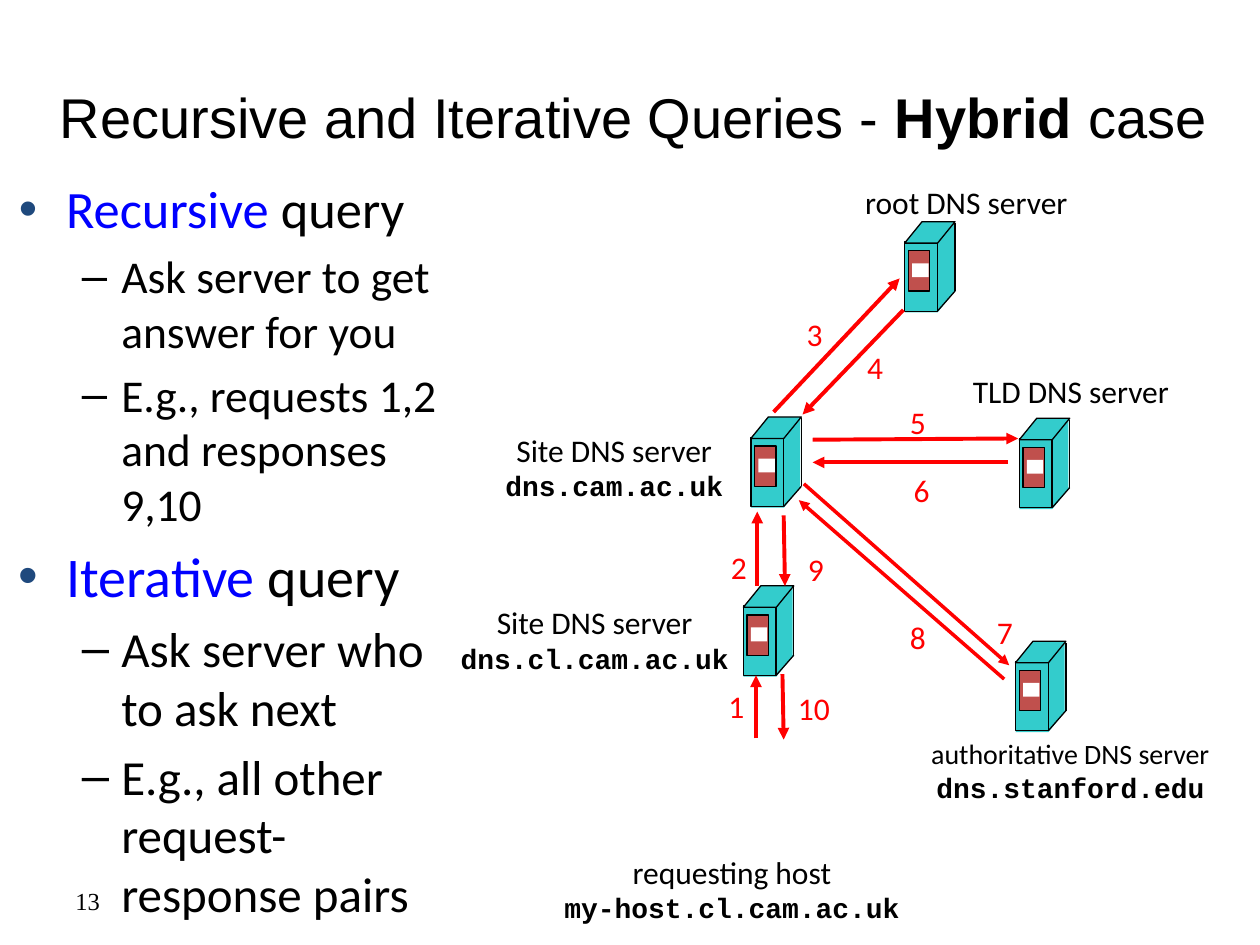
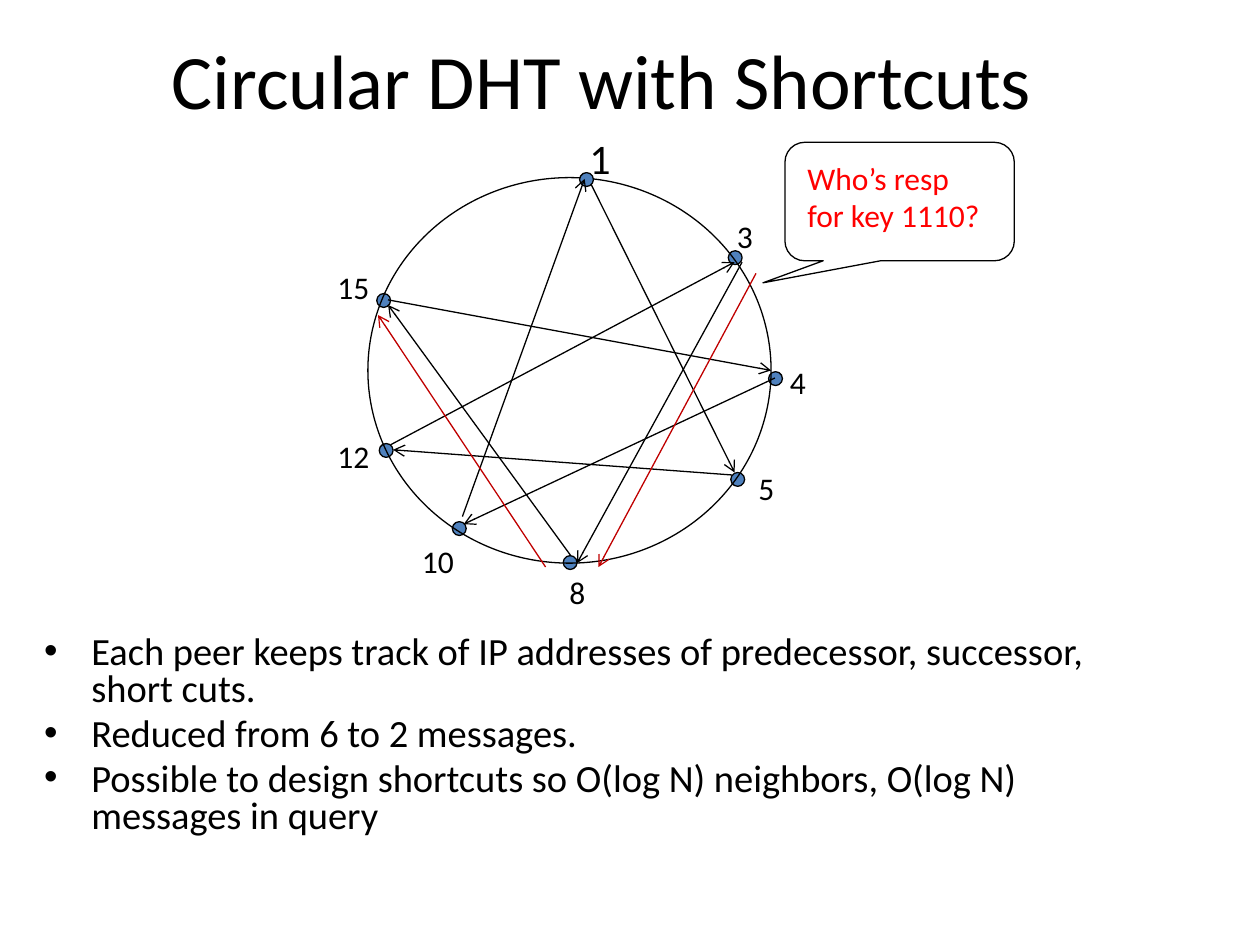
"""Build two slides on DNS query types and a circular DHT."""
import lxml.etree
import pptx
import pptx.dml.color
import pptx.enum.shapes
import pptx.enum.text
import pptx.oxml.ns
import pptx.util

PX = 9144
BLACK, WHITE, RED, DARK_RED, BLUE = "000000", "FFFFFF", "FF0000", "C00000", "0000FF"
TEAL, BRICK, NAVY, NODE = "33CCCC", "C0504D", "1F497D", "4F81BD"
SHAPE = pptx.enum.shapes.MSO_SHAPE
ALIGN = pptx.enum.text.PP_ALIGN
ANCHOR = pptx.enum.text.MSO_ANCHOR
FIT = pptx.enum.text.MSO_AUTO_SIZE
CENTER = {"alignment": ALIGN.CENTER}
PLAIN = {"name": "Calibri", "size": 18, "color": BLACK}
HOST = {"name": "Courier New", "size": 16, "bold": True}
QUERY = {"color": BLUE}

SERVERS = [(718, 176), (809, 332), (806, 509), (596, 331), (590, 465)]
SERVER_LABELS = [
    ((436, 672, 290, 67), "requesting host", "my-host.cl.cam.ac.uk", 18),
    ((657, 140, 220, 40), "root DNS server", None, 18),
    ((740, 290, 220, 40), "TLD DNS server", None, 18),
    ((727, 580, 245, 64), "authoritative DNS server", "dns.stanford.edu", 16),
    ((390, 337, 195, 67), "Site DNS server", "dns.cam.ac.uk", 18),
    ((354, 474, 236, 67), "Site DNS server", "dns.cl.cam.ac.uk", 18),
]
MESSAGES = [
    ("1", (600, 586, 600, 536), (568, 540), 2.25),
    ("2", (601, 465, 601, 406), (570, 430), 2.25),
    ("3", (614, 327, 714, 221), (630, 245), 2.25),
    ("4", (717, 246, 637, 329), (678, 271), 2.25),
    ("5", (645, 349, 808, 348), (712, 315), 2.25),
    ("6", (800, 367, 645, 367), (715, 369), 2.25),
    ("7", (638, 384, 801, 528), (781, 482), 2),
    ("8", (797, 539, 634, 397), (712, 486), 2),
    ("9", (622, 409, 623, 465), (631, 432), 2.25),
    ("10", (621, 535, 622, 587), (623, 542), 2.25),
]
PEERS = [
    ("3", (578, 199), (575, 167)),
    ("4", (610, 295), (617, 283)),
    ("5", (580, 375), (592, 367)),
    ("8", (447, 441), (442, 450)),
    ("10", (359, 414), (325, 425)),
    ("12", (301, 352), (258, 342)),
    ("15", (299, 233), (258, 208)),
]
SHORTCUTS = [
    (615, 300, 368, 416), (581, 377, 312, 357), (453, 441, 308, 242),
    (367, 410, 464, 142), (310, 353, 583, 208), (308, 238, 612, 294),
    (469, 146, 583, 375), (589, 208, 458, 447),
]
LOOKUP = [(600, 217, 475, 450), (433, 450, 300, 250)]


def px(*values):
    """Turn pixel lengths into EMU."""
    return [pptx.util.Emu(v * PX) for v in values]


def rgb(color):
    """Turn a hex string into a colour."""
    return pptx.dml.color.RGBColor.from_string(color)


def set_font(font, fmt):
    """Apply a dict of font values."""
    for key, value in fmt.items():
        if key == "color":
            font.color.rgb = rgb(value)
        else:
            setattr(font, key, pptx.util.Pt(value) if key == "size" else value)


def write(tf, paragraphs, base, bullet_color=None, **para_fmt):
    """Fill a frame with paragraphs given as (level, runs)."""
    for i, (level, runs) in enumerate(paragraphs):
        p = tf.paragraphs[0] if i == 0 else tf.add_paragraph()
        p.level = level
        for key, value in para_fmt.items():
            setattr(p, key, value)
        if i == 0:
            p.space_before = pptx.util.Pt(0)
        if bullet_color and level == 0:
            tag = pptx.oxml.ns.qn
            clr = lxml.etree.SubElement(p._p.get_or_add_pPr(), tag("a:buClr"))
            lxml.etree.SubElement(clr, tag("a:srgbClr"), val=bullet_color)
        for text, fmt in runs:
            for j, line in enumerate(text.split("\n")):
                if j:
                    p.add_line_break()
                r = p.add_run()
                r.text = line
                set_font(r.font, {**base, **fmt})


def add_text(s, box, paragraphs, base=PLAIN, wrap=False, **para_fmt):
    """Add a text box that fits its text."""
    tf = s.shapes.add_textbox(*px(*box)).text_frame
    tf.word_wrap = wrap
    tf.auto_size = FIT.SHAPE_TO_FIT_TEXT
    write(tf, paragraphs, base, **para_fmt)
    return tf


def fill_placeholder(sp, box, paragraphs, base, **para_fmt):
    """Move a placeholder and fill it with formatted text."""
    sp.left, sp.top, sp.width, sp.height = px(*box)
    sp.text_frame.auto_size = FIT.NONE
    write(sp.text_frame, paragraphs, base, **para_fmt)


def add_slide(prs, title_box, title, title_fmt):
    """Add a slide with its title and return it with its body placeholder."""
    s = prs.slides.add_slide(prs.slide_layouts[1])
    fill_placeholder(s.shapes.title, title_box, [(0, title)],
                     {**PLAIN, **title_fmt}, **CENTER)
    s.shapes.title.text_frame.vertical_anchor = ANCHOR.MIDDLE
    return s, s.placeholders[1]


def add_shape(s, kind, box, fill=None, line=None, adj=()):
    """Add a preset shape with an optional fill and outline."""
    sp = s.shapes.add_shape(kind, *px(*box))
    sp.shadow.inherit = False
    for i, value in enumerate(adj):
        sp.adjustments[i] = value
    if fill:
        sp.fill.solid()
        sp.fill.fore_color.rgb = rgb(fill)
    else:
        sp.fill.background()
    if line:
        sp.line.color.rgb = rgb(line)
        sp.line.width = pptx.util.Pt(0.75)
    else:
        sp.line.fill.background()


def add_line(s, ends, color=BLACK, width=0.75, head=None):
    """Add a straight line with an optional arrowhead at its end."""
    sp = s.shapes.add_connector(pptx.enum.shapes.MSO_CONNECTOR.STRAIGHT, *px(*ends))
    sp.line.color.rgb = rgb(color)
    sp.line.width = pptx.util.Pt(width)
    tag = pptx.oxml.ns.qn
    if head:
        lxml.etree.SubElement(sp.line._get_or_add_ln(), tag("a:tailEnd"), type=head)
    lxml.etree.SubElement(sp._element.spPr, tag("a:effectLst"))


def add_server(s, x, y):
    """Draw a server tower with its top left corner at x, y."""
    slant = [0.814]
    add_shape(s, SHAPE.PARALLELOGRAM, (x, y + 55, 40, 17), TEAL, adj=slant)
    add_shape(s, SHAPE.RECTANGLE, (x + 20, y + 1, 19, 55), TEAL)
    add_shape(s, SHAPE.RECTANGLE, (x, y + 16, 26, 55), TEAL, BLACK)
    add_shape(s, SHAPE.PARALLELOGRAM, (x, y, 40, 17), TEAL, BLACK, slant)
    add_line(s, (x + 40, y + 1, x + 40, y + 55))
    add_line(s, (x + 40, y + 55, x + 26, y + 71))
    add_shape(s, SHAPE.RECTANGLE, (x + 3, y + 23, 17, 32), BRICK, BLACK)
    add_shape(s, SHAPE.RECTANGLE, (x + 6, y + 33, 13, 11), WHITE)


def add_server_label(s, box, caption, host, size):
    """Add a server caption with an optional host name below it."""
    lines = [(0, [(caption, {"size": size})])]
    if host:
        lines.append((0, [(host, HOST)]))
    add_text(s, box, lines, wrap=host is None, **CENTER)


def add_message(s, number, ends, label, width):
    """Add a numbered message arrow."""
    add_line(s, ends, RED, width, "triangle")
    add_text(s, (*label, 33 if len(number) == 1 else 46, 40), [(0, [(number, {})])],
             {**PLAIN, "color": RED}, **CENTER)


def add_peer(s, number, dot, label, size=18):
    """Add a peer dot and its number."""
    add_shape(s, SHAPE.OVAL, (*dot, 11, 11), NODE, BLACK)
    add_text(s, (*label, 37 if len(number) == 1 else 54, 50), [(0, [(number, {})])],
             {**PLAIN, "size": size})


def build_queries(prs):
    """Build the slide on recursive and iterative queries."""
    title = [("Recursive and Iterative Queries - ", {}), ("Hybrid", {"bold": True}),
             (" case", {})]
    s, body = add_slide(prs, (5, 30, 995, 125), title, {"name": "Arial", "size": 32})
    sections = [
        ("Recursive", 30, 26, ["Ask server to get answer for you",
                               "E.g., requests 1,2 and responses 9,10"]),
        ("Iterative", 32, 28, ["Ask server who\nto ask next",
                               "E.g., all other request-response pairs"]),
    ]
    items = []
    for kind, head_size, size, points in sections:
        head = {"size": head_size}
        items.append((0, [(kind, {**head, **QUERY}), (" query", head)]))
        items += [(1, [(point, {"size": size})]) for point in points]
    fill_placeholder(body, (5, 135, 364, 600), items, PLAIN, bullet_color=NAVY)
    tf = add_text(s, (50, 695, 233, 40), [(0, [("13", {})])],
                  {"name": "Times New Roman", "size": 14, "color": BLACK}, True)
    tf.auto_size = FIT.NONE
    tf.vertical_anchor = ANCHOR.MIDDLE
    for server in SERVERS:
        add_server(s, *server)
    for label in SERVER_LABELS:
        add_server_label(s, *label)
    for message in MESSAGES:
        add_message(s, *message)


def build_dht(prs):
    """Build the slide on the circular DHT."""
    s, body = add_slide(prs, (28, 0, 900, 125), [("Circular DHT with Shortcuts", {})],
                        {"size": 44})
    points = ["Each peer keeps track of IP addresses of predecessor, successor, short cuts.",
              "Reduced from 6 to 2 messages.",
              "Possible to design shortcuts so O(log N) neighbors, O(log N) messages in query"]
    fill_placeholder(body, (25, 500, 900, 183), [(0, [(t, {})]) for t in points],
                     {**PLAIN, "size": 22}, line_spacing=0.8)
    for peer in PEERS:
        add_peer(s, *peer)
    add_shape(s, SHAPE.OVAL, (292, 141, 320, 306), line=BLACK)
    add_peer(s, "1", (460, 137), (458, 100), 24)
    for color, arrows in ((BLACK, SHORTCUTS), (DARK_RED, LOOKUP)):
        for ends in arrows:
            add_line(s, ends, color, head="arrow")
    add_shape(s, SHAPE.ROUNDED_RECTANGULAR_CALLOUT, (623, 113, 182, 94), line=BLACK,
              adj=(-0.596, 0.686, 0.167))
    add_text(s, (631, 121, 180, 77),
             [(0, [(t, {})]) for t in ("Who’s resp", "for key 1110?")],
             {**PLAIN, "color": RED}, True)


def main():
    """Build and save the presentation."""
    prs = pptx.Presentation()
    prs.slide_width, prs.slide_height = px(1000, 750)
    build_queries(prs)
    build_dht(prs)
    prs.save("out.pptx")


if __name__ == "__main__":
    main()
